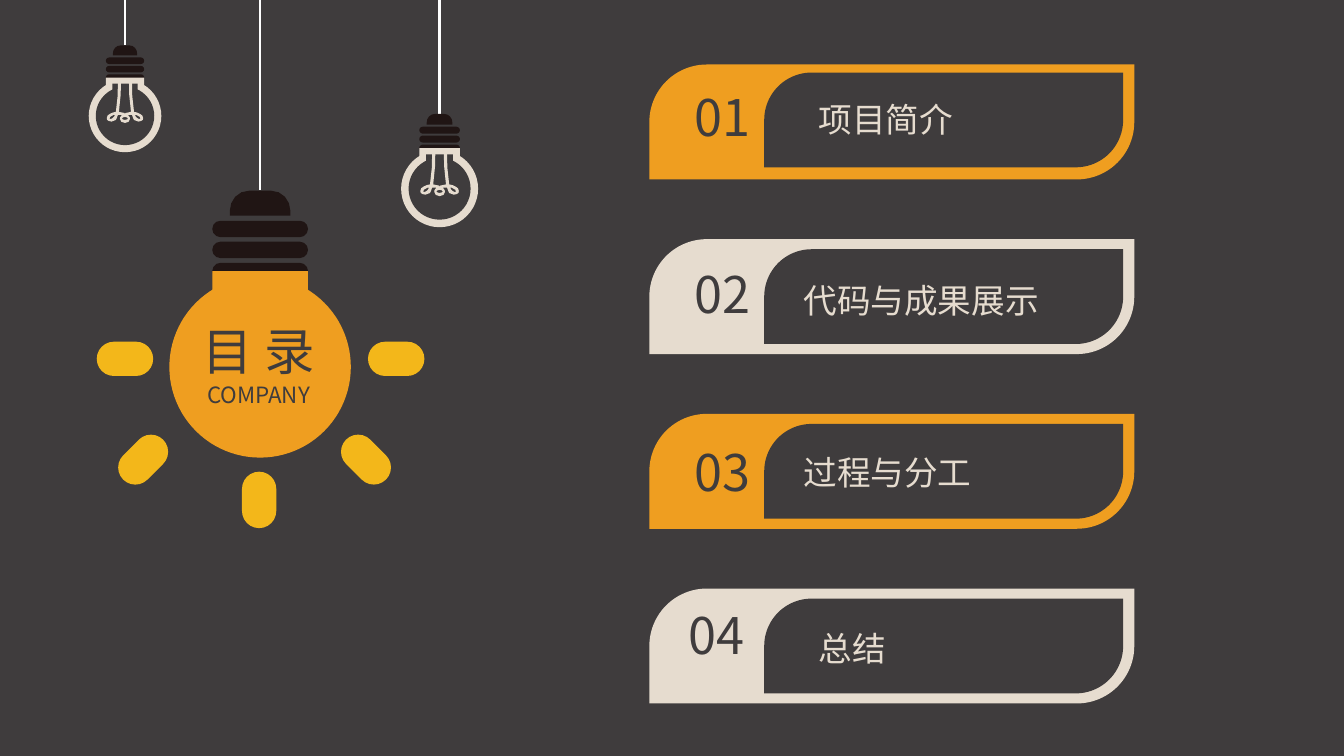
from dataclasses import dataclass

from lxml.etree import SubElement
from pptx import Presentation
from pptx.dml.color import RGBColor
from pptx.enum.shapes import MSO_CONNECTOR, MSO_SHAPE
from pptx.enum.text import MSO_ANCHOR, MSO_AUTO_SIZE, PP_ALIGN
from pptx.oxml.ns import qn
from pptx.shapes.autoshape import Shape
from pptx.slide import Slide
from pptx.text.text import _Paragraph as Paragraph
from pptx.util import Inches, Pt

COLORS = {
    "dark": "3F3C3D",
    "orange": "EF9E20",
    "cream": "E6DCCF",
    "socket": "201514",
    "ray": "F3B71A",
    "cord": "FFFFFF",
}
FONT = "Noto Sans CJK SC"

Point = tuple[float, float]
Contour = list[Point]

CAP_HALF = [(0, 0), (-1, 0), (-3, 0), (-4, 0), (-9, 0), (-12, 4), (-12, 8),
            (-12, 9), (-12, 10), (-12, 10)]
WIRE_HALF = [
    (0, 68), (0, 67), (-1, 67), (-1, 67), (-3, 67), (-4, 66), (-6, 66),
    (-4, 58), (-4, 38), (-4, 37), (-4, 36), (-4, 35), (-5, 35),
    (-6, 35), (-6, 36), (-7, 36), (-7, 41), (-7, 59), (-9, 66),
    (-11, 66), (-13, 67), (-15, 68), (-17, 69), (-18, 70), (-18, 72),
    (-18, 73), (-18, 75), (-16, 75), (-15, 76), (-12, 76), (-9, 74),
    (-8, 73), (-8, 71), (-7, 69), (-6, 69), (-5, 69), (-3, 69),
    (-5, 71), (-5, 72), (-5, 73), (-5, 75), (-3, 77), (0, 77),
]
MIDDLE_LOOP_HALF = [(0, 71), (-2, 71), (-3, 72), (-3, 73), (-3, 73), (-1, 74), (0, 74)]
SIDE_LOOP = [
    (-13, 70), (-12, 69), (-11, 69), (-10, 69), (-10, 70), (-11, 71), (-12, 72),
    (-13, 73), (-14, 73), (-15, 73), (-15, 73), (-16, 73), (-15, 72),
    (-15, 71), (-15, 71), (-13, 70),
]


@dataclass(frozen=True)
class Bulb:
    axis: float
    top: float
    scale: float
    color: str
    lit: bool = False


@dataclass(frozen=True)
class Ray:
    center_x: float
    center_y: float
    rotation: float = 0


@dataclass(frozen=True)
class Entry:
    number: str
    label: str
    color: str
    number_left: float
    number_top: float
    label_left: float
    label_top: float
    inset: float = 0.1


BULBS = [
    Bulb(2.58, 1.89, 2.5, "orange", lit=True),
    Bulb(1.24, 0.45, 1, "cream"),
    Bulb(4.36, 1.13, 1.06, "cream"),
]
RAYS = [Ray(1.24, 3.56), Ray(3.93, 3.56), Ray(3.63, 4.56, 45),
        Ray(1.42, 4.56, -45), Ray(2.57, 4.96, 90)]
ENTRIES = [
    Entry("01", "项目简介", "orange", 6.69, 0.92, 8.02, 0.81, 0.08),
    Entry("02", "代码与成果展示", "cream", 6.69, 2.68, 7.87, 2.61),
    Entry("03", "过程与分工", "orange", 6.69, 4.44, 7.87, 4.31),
    Entry("04", "总结", "cream", 6.63, 6.06, 8.02, 6.06),
]
PANEL_TOP, PANEL_STEP = 0.64, 1.733


def paint(shape: Shape, color: str) -> None:
    shape.shadow.inherit = False
    shape.fill.solid()
    shape.fill.fore_color.rgb = RGBColor.from_string(COLORS[color])
    shape.line.fill.background()


def add_block(page: Slide, kind: MSO_SHAPE, left: float, top: float,
              width: float, height: float, color: str) -> Shape:
    block = page.shapes.add_shape(kind, Inches(left), Inches(top), Inches(width), Inches(height))
    if len(block.adjustments):
        block.adjustments[0] = 0.5
    paint(block, color)
    return block


def flatten(knots: Contour, steps: int) -> Contour:
    points = [knots[0]]
    for first in range(0, len(knots) - 1, 3):
        corners = knots[first:first + 4]
        for step in range(1, steps + 1):
            t = step / steps
            weights = ((1 - t) ** 3, 3 * t * (1 - t) ** 2, 3 * t * t * (1 - t), t ** 3)
            points.append((sum(w * x for w, (x, _) in zip(weights, corners)),
                           sum(w * y for w, (_, y) in zip(weights, corners))))
    return points


def mirror(points: Contour) -> Contour:
    return [(-x, y) for x, y in reversed(points)]


def add_outline(page: Slide, bulb: Bulb, contours: list[Contour], color: str) -> None:
    placed = [[(Inches(bulb.axis + x * bulb.scale / 100), Inches(bulb.top + y * bulb.scale / 100))
               for x, y in contour] for contour in contours]
    builder = page.shapes.build_freeform(*placed[0][0])
    builder.add_line_segments(placed[0][1:], close=True)
    for hole in placed[1:]:
        builder.move_to(*hole[0])
        builder.add_line_segments(hole[1:], close=True)
    paint(builder.convert_to_shape(), color)


def add_part(page: Slide, bulb: Bulb, kind: MSO_SHAPE, half_width: float,
             top: float, height: float, color: str) -> None:
    add_block(page, kind, bulb.axis - half_width * bulb.scale, bulb.top + top * bulb.scale,
              2 * half_width * bulb.scale, height * bulb.scale, color)


def add_glass(page: Slide, bulb: Bulb, radius: float, half_neck: float,
              neck_top: float, color: str) -> None:
    add_part(page, bulb, MSO_SHAPE.OVAL, radius, 0.7 - radius, 2 * radius, color)
    add_part(page, bulb, MSO_SHAPE.RECTANGLE, half_neck, neck_top, 0.5 - neck_top, color)


def add_bulb(page: Slide, bulb: Bulb) -> None:
    cord = page.shapes.add_connector(MSO_CONNECTOR.STRAIGHT, Inches(bulb.axis), Inches(0),
                                     Inches(bulb.axis), Inches(bulb.top))
    cord.line.color.rgb = RGBColor.from_string(COLORS["cord"])
    cord.line.width = Pt(1.75)
    SubElement(cord.element.spPr, qn("a:effectLst"))
    cap = flatten(CAP_HALF, 4)
    add_outline(page, bulb, [cap + mirror(cap)], "socket")
    for ring_top in (0.12, 0.203, 0.287):
        add_part(page, bulb, MSO_SHAPE.ROUNDED_RECTANGLE, 0.19, ring_top, 0.065, "socket")
    add_glass(page, bulb, 0.36, 0.19, 0.32, bulb.color)
    if not bulb.lit:
        add_glass(page, bulb, 0.29, 0.125, 0.38, "dark")
        wire, loop, side = (flatten(knots, 2) for knots in (WIRE_HALF, MIDDLE_LOOP_HALF, SIDE_LOOP))
        filament = [wire + mirror(wire), loop + mirror(loop), side, mirror(side)]
        add_outline(page, bulb, filament, bulb.color)


def style(para: Paragraph, size: float, color: str, align: PP_ALIGN, spacing: float) -> None:
    para.alignment = align
    para.line_spacing = spacing
    para.font.size = Pt(size)
    para.font.name = FONT
    para.font.color.rgb = RGBColor.from_string(COLORS[color])
    SubElement(para._p.pPr.find(qn("a:defRPr")), qn("a:ea"), typeface=FONT)


def add_text(page: Slide, text: str, left: float, top: float, width: float, height: float,
             size: float, color: str, align: PP_ALIGN, spacing: float, anchor: MSO_ANCHOR) -> None:
    box = page.shapes.add_textbox(Inches(left), Inches(top), Inches(width), Inches(height))
    frame = box.text_frame
    frame.word_wrap = True
    frame.auto_size = MSO_AUTO_SIZE.SHAPE_TO_FIT_TEXT
    frame.vertical_anchor = anchor
    frame.text = text
    style(frame.paragraphs[0], size, color, align, spacing)


def add_entry(page: Slide, entry: Entry, top: float) -> None:
    add_block(page, MSO_SHAPE.ROUND_2_DIAG_RECTANGLE, 6.44, top, 4.81, 1.14, entry.color)
    add_block(page, MSO_SHAPE.ROUND_2_DIAG_RECTANGLE, 7.58, top + entry.inset, 3.56, 0.94, "dark")
    add_text(page, entry.number, entry.number_left, entry.number_top, 0.95, 0.58,
             36, "dark", PP_ALIGN.CENTER, 0.8, MSO_ANCHOR.MIDDLE)
    add_text(page, entry.label, entry.label_left, entry.label_top, 3.12, 0.62,
             24, "cream", PP_ALIGN.LEFT, 1.3, MSO_ANCHOR.TOP)


def place_title(page: Slide) -> None:
    title = page.shapes.title
    title.left, title.top, title.width, title.height = map(Inches, (1.88, 3.13, 1.37, 0.99))
    frame = title.text_frame
    frame.word_wrap = True
    frame.auto_size = MSO_AUTO_SIZE.SHAPE_TO_FIT_TEXT
    frame.vertical_anchor = MSO_ANCHOR.TOP
    frame.text = "目 录\nCOMPANY"
    for para, size in zip(frame.paragraphs, (36, 16)):
        style(para, size, "dark", PP_ALIGN.CENTER, 1.0)
    page.shapes.element.append(title.element)


def main() -> None:
    deck = Presentation()
    deck.slide_width, deck.slide_height = Inches(13.33), Inches(7.5)
    page = deck.slides.add_slide(deck.slide_layouts[5])
    page.background.fill.solid()
    page.background.fill.fore_color.rgb = RGBColor.from_string(COLORS["dark"])
    for bulb in BULBS:
        add_bulb(page, bulb)
    for ray in RAYS:
        capsule = add_block(page, MSO_SHAPE.ROUNDED_RECTANGLE, ray.center_x - 0.28,
                            ray.center_y - 0.17, 0.56, 0.34, "ray")
        capsule.rotation = ray.rotation
    place_title(page)
    for index, entry in enumerate(ENTRIES):
        add_entry(page, entry, PANEL_TOP + index * PANEL_STEP)
    deck.save("out.pptx")


if __name__ == "__main__":
    main()
